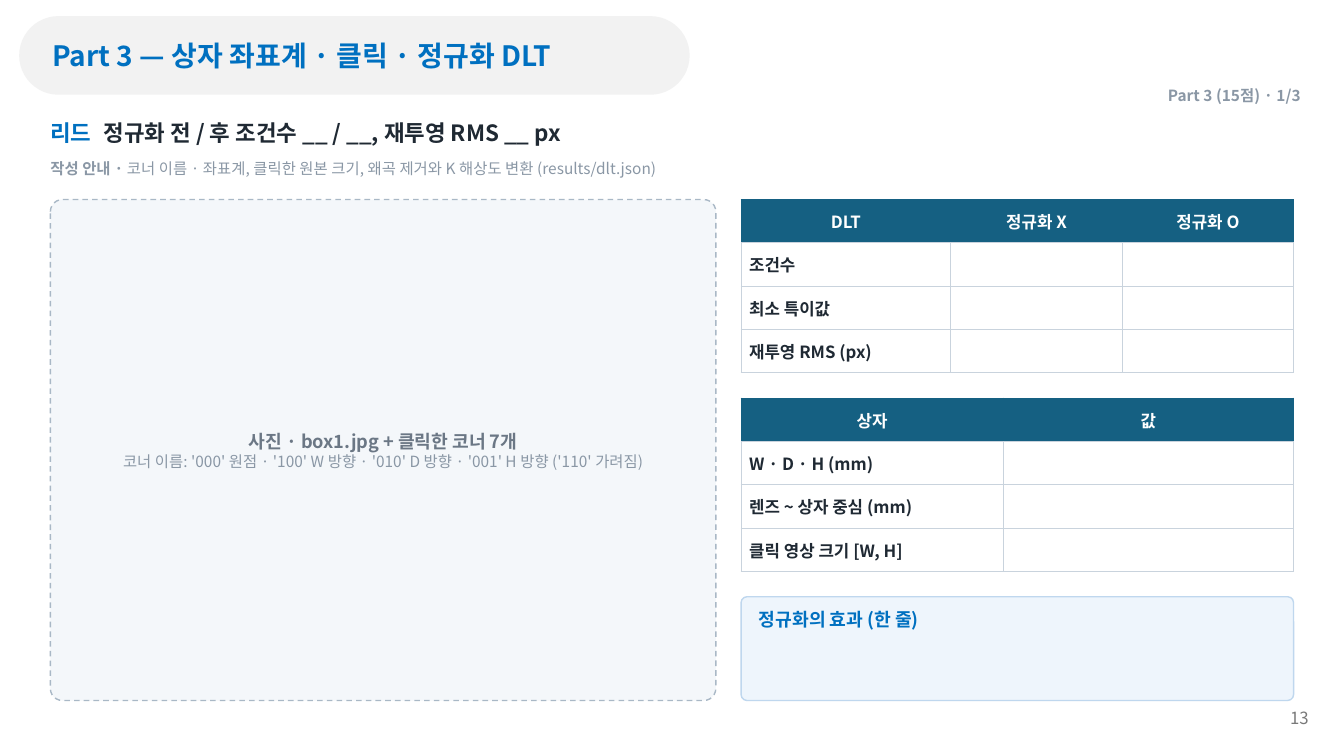
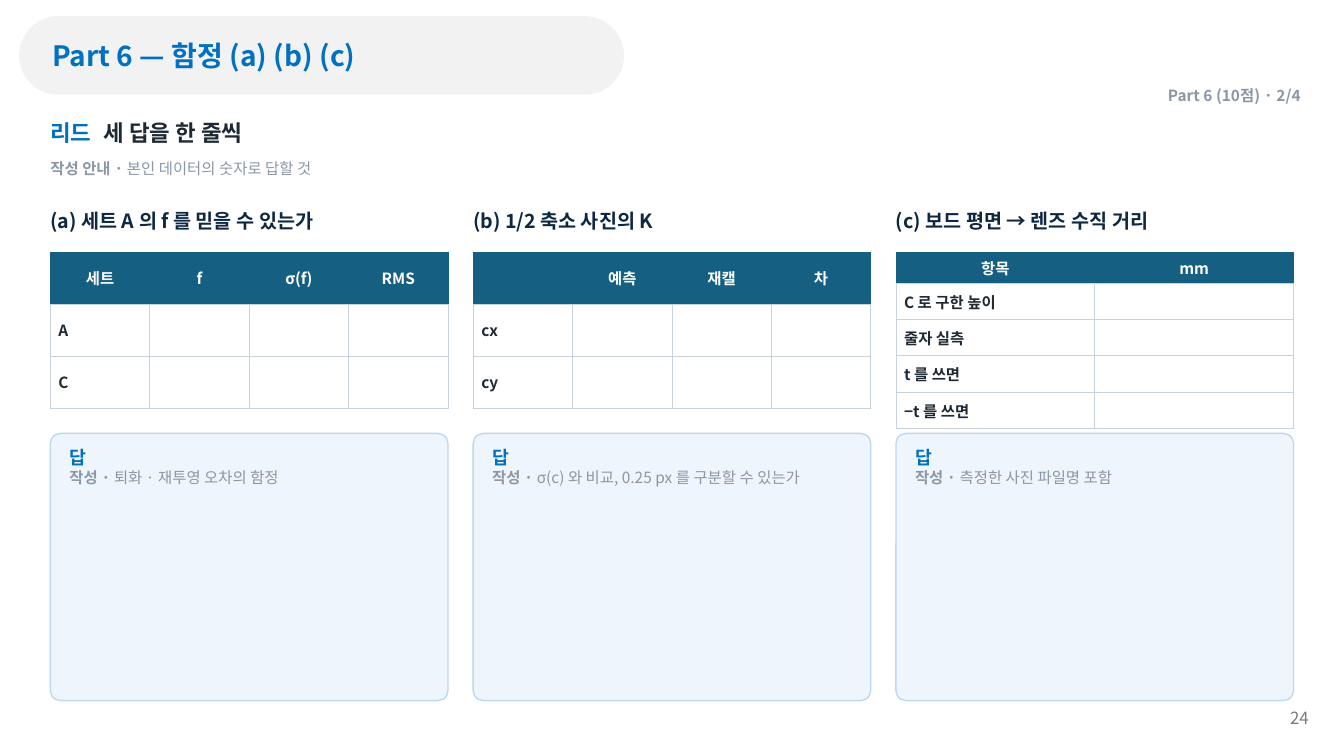
from lxml.etree import SubElement
from pptx import Presentation
from pptx.dml.color import RGBColor
from pptx.enum.dml import MSO_LINE
from pptx.enum.shapes import MSO_SHAPE
from pptx.enum.text import MSO_ANCHOR, PP_ALIGN
from pptx.oxml.ns import qn
from pptx.util import Inches, Pt

# Shared style
FONT = "Noto Sans CJK KR"
WHITE = RGBColor(0xFF, 0xFF, 0xFF)
BLUE = RGBColor(0x00, 0x70, 0xC0)
NAVY = RGBColor(0x0E, 0x28, 0x41)
INK = RGBColor(0x1F, 0x29, 0x33)
SLATE = RGBColor(0x6B, 0x77, 0x85)
MUTED = RGBColor(0x8A, 0x97, 0xA5)
PAGE_GRAY = RGBColor(0x79, 0x79, 0x79)
BAND = RGBColor(0xF2, 0xF2, 0xF2)
HEADER = RGBColor(0x15, 0x60, 0x82)
GRID = RGBColor(0xC9, 0xD3, 0xDD)
PHOTO_FILL = RGBColor(0xF4, 0xF7, 0xFA)
PHOTO_LINE = RGBColor(0xA9, 0xB8, 0xC6)
NOTE_FILL = RGBColor(0xEE, 0xF5, 0xFC)
NOTE_LINE = RGBColor(0xBF, 0xD7, 0xEE)

# Shared layout, in inches
LEFT, TOP, WIDTH, BOTTOM = 0.5, 1.98, 12.33, 6.95
GAP = 0.25


def add_span(para, text, *, size, color, bold=True):
    """Append formatted text, without kerning, to a paragraph."""
    span = para.add_run()
    span.text = text
    span.font.size = Pt(size)
    span.font.bold = bold
    span.font.color.rgb = color
    span.font.name = FONT
    properties = span._r.get_or_add_rPr()
    properties.set("kern", "0")
    SubElement(properties, qn("a:ea"), typeface=FONT)


def add_tab_stop(para, position):
    stops = SubElement(para._p.get_or_add_pPr(), qn("a:tabLst"))
    SubElement(stops, qn("a:tab"), pos=str(Inches(position)), algn="l")


def set_frame(frame, insets=(0, 0, 0, 0), anchor=MSO_ANCHOR.MIDDLE):
    frame.word_wrap = True
    frame.vertical_anchor = anchor
    (frame.margin_left, frame.margin_top,
     frame.margin_right, frame.margin_bottom) = map(Inches, insets)


def set_borders(cell, color):
    properties = cell._tc.get_or_add_tcPr()
    for side in ("lnL", "lnR", "lnT", "lnB"):
        line = SubElement(properties, qn(f"a:{side}"), w=str(Pt(0.75)))
        fill = SubElement(line, qn("a:solidFill"))
        SubElement(fill, qn("a:srgbClr"), val=str(color))


class Worksheet:
    """Holds the deck, its style and the current page."""

    def __init__(self):
        self.deck = Presentation()
        self.deck.slide_width = Inches(13.33)
        self.deck.slide_height = Inches(7.5)
        self.page = None

    def add_page(self, title, band_width, part, number, lead, guide):
        self.page = self.deck.slides.add_slide(self.deck.slide_layouts[5])
        # Title in front of its rounded band
        heading = self.page.shapes.title
        band = self.panel(0.19, 0.16, band_width, 0.78, radius=0.39, fill=BAND)
        heading._element.addprevious(band._element)
        heading.left, heading.top = Inches(0.52), Inches(0.16)
        heading.width, heading.height = Inches(band_width - 0.4), Inches(0.78)
        set_frame(heading.text_frame)
        para = heading.text_frame.paragraphs[0]
        para.alignment = PP_ALIGN.LEFT
        add_span(para, title, size=20, color=BLUE)
        # Page number and part label
        para = self.label(12.53, 6.92, 0.45, 0.4, PP_ALIGN.RIGHT)
        add_span(para, number, size=12, color=PAGE_GRAY, bold=False)
        para = self.label(9.45, 0.8, 3.45, 0.3, PP_ALIGN.RIGHT)
        add_span(para, part, size=11, color=MUTED)
        # Lead line and writing guide
        para = self.label(LEFT, 1.1, WIDTH, 0.42)
        add_tab_stop(para, 0.53)
        add_span(para, "리드\t", size=16, color=BLUE)
        add_span(para, lead, size=16, color=INK)
        para = self.label(LEFT, 1.5, WIDTH, 0.34)
        add_span(para, "작성 안내 · ", size=11, color=MUTED)
        add_span(para, guide, size=11, color=MUTED, bold=False)

    def label(self, left, top, width, height, align=PP_ALIGN.LEFT):
        box = self.page.shapes.add_textbox(
            Inches(left), Inches(top), Inches(width), Inches(height))
        set_frame(box.text_frame)
        para = box.text_frame.paragraphs[0]
        para.alignment = align
        return para

    def panel(self, left, top, width, height, *, radius, fill, line=None):
        box = self.page.shapes.add_shape(
            MSO_SHAPE.ROUNDED_RECTANGLE,
            Inches(left), Inches(top), Inches(width), Inches(height))
        box.adjustments[0] = radius / min(width, height)
        box.shadow.inherit = False
        box.fill.solid()
        box.fill.fore_color.rgb = fill
        if line is None:
            box.line.fill.background()
        else:
            box.line.color.rgb = line
            box.line.width = Pt(1)
        return box

    def photo_area(self, left, top, width, height, caption, detail):
        box = self.panel(left, top, width, height, radius=0.12,
                         fill=PHOTO_FILL, line=PHOTO_LINE)
        box.line.dash_style = MSO_LINE.DASH
        frame = box.text_frame
        set_frame(frame, (0.12, 0.12, 0.12, 0.12))
        add_span(frame.paragraphs[0], caption, size=13, color=SLATE)
        add_span(frame.add_paragraph(), detail, size=11, color=MUTED, bold=False)
        for para in frame.paragraphs:
            para.alignment = PP_ALIGN.CENTER

    def note(self, left, top, width, height, heading, hint=None, radius=0.1):
        box = self.panel(left, top, width, height, radius=radius,
                         fill=NOTE_FILL, line=NOTE_LINE)
        frame = box.text_frame
        set_frame(frame, (0.16, 0.1, 0.16, 0.08), MSO_ANCHOR.TOP)
        add_span(frame.paragraphs[0], heading, size=13, color=BLUE)
        if hint:
            para = frame.add_paragraph()
            add_span(para, "작성 · ", size=11, color=MUTED)
            add_span(para, hint, size=11, color=MUTED, bold=False)
        for para in frame.paragraphs:
            para.alignment = PP_ALIGN.LEFT

    def table(self, left, top, widths, height, headers, labels, size):
        """Header row, then rows with a label and blank answer cells."""
        rows = [headers] + [[text] + [""] * (len(headers) - 1) for text in labels]
        table = self.page.shapes.add_table(
            len(rows), len(headers), Inches(left), Inches(top),
            Inches(sum(widths)), Inches(height)).table
        table.first_row = table.horz_banding = False
        for column, width in zip(table.columns, widths):
            column.width = Inches(width)
        for i, texts in enumerate(rows):
            table.rows[i].height = Inches(height / len(rows))
            for j, text in enumerate(texts):
                self.fill_cell(table.cell(i, j), text, size, is_header=i == 0)

    def fill_cell(self, cell, text, size, is_header):
        set_borders(cell, HEADER if is_header else GRID)
        cell.fill.solid()
        cell.fill.fore_color.rgb = HEADER if is_header else WHITE
        cell.vertical_anchor = MSO_ANCHOR.MIDDLE
        cell.margin_left = cell.margin_right = Inches(0.08)
        cell.margin_top = cell.margin_bottom = Inches(0.03)
        if text:
            para = cell.text_frame.paragraphs[0]
            para.alignment = PP_ALIGN.CENTER if is_header else PP_ALIGN.LEFT
            add_span(para, text, size=size, color=WHITE if is_header else INK)


def build_dlt_page(sheet):
    sheet.add_page(
        "Part 3 — 상자 좌표계 · 클릭 · 정규화 DLT", 6.65,
        "Part 3 (15점) · 1/3", "13",
        "정규화 전 / 후 조건수 __ / __, 재투영 RMS __ px",
        "코너 이름 · 좌표계, 클릭한 원본 크기, 왜곡 제거와 K 해상도 변환 (results/dlt.json)")
    photo_width, table_height = 6.6, 1.72
    sheet.photo_area(
        LEFT, TOP, photo_width, BOTTOM - TOP,
        "사진 · box1.jpg + 클릭한 코너 7개",
        "코너 이름: '000' 원점 · '100' W 방향 · '010' D 방향 · '001' H 방향 ('110' 가려짐)")
    # Right column: two tables and a note
    left = LEFT + photo_width + GAP
    tables = [
        ([2.08, 1.7, 1.7], ["DLT", "정규화 X", "정규화 O"],
         ["조건수", "최소 특이값", "재투영 RMS (px)"]),
        ([2.6, 2.88], ["상자", "값"],
         ["W · D · H (mm)", "렌즈 ~ 상자 중심 (mm)", "클릭 영상 크기 [W, H]"]),
    ]
    top = TOP
    for widths, headers, labels in tables:
        sheet.table(left, top, widths, table_height, headers, labels, 12)
        top += table_height + GAP
    sheet.note(left, top, LEFT + WIDTH - left, BOTTOM - top,
               "정규화의 효과 (한 줄)", radius=0.06)


def build_pitfall_page(sheet):
    sheet.add_page(
        "Part 6 — 함정 (a) (b) (c)", 6,
        "Part 6 (10점) · 2/4", "24",
        "세 답을 한 줄씩", "본인 데이터의 숫자로 답할 것")
    questions = [
        ("(a) 세트 A 의 f 를 믿을 수 있는가",
         ["세트", "f", "σ(f)", "RMS"], ["A", "C"],
         "퇴화 · 재투영 오차의 함정"),
        ("(b) 1/2 축소 사진의 K",
         ["", "예측", "재캘", "차"], ["cx", "cy"],
         "σ(c) 와 비교, 0.25 px 를 구분할 수 있는가"),
        ("(c) 보드 평면 → 렌즈 수직 거리",
         ["항목", "mm"], ["C 로 구한 높이", "줄자 실측", "t 를 쓰면", "−t 를 쓰면"],
         "측정한 사진 파일명 포함"),
    ]
    # One column per question: heading, table, answer
    count = len(questions)
    width = (WIDTH - (count - 1) * GAP) / count
    for i, (question, headers, labels, hint) in enumerate(questions):
        left = LEFT + i * (width + GAP)
        para = sheet.label(left, TOP, width, 0.42)
        add_span(para, question, size=14, color=NAVY)
        widths = [width / len(headers)] * len(headers)
        sheet.table(left, 2.5, widths, 1.55, headers, labels, 11)
        sheet.note(left, 4.3, width, BOTTOM - 4.3, "답", hint)


def main():
    sheet = Worksheet()
    build_dlt_page(sheet)
    build_pitfall_page(sheet)
    sheet.deck.save("out.pptx")


if __name__ == "__main__":
    main()
